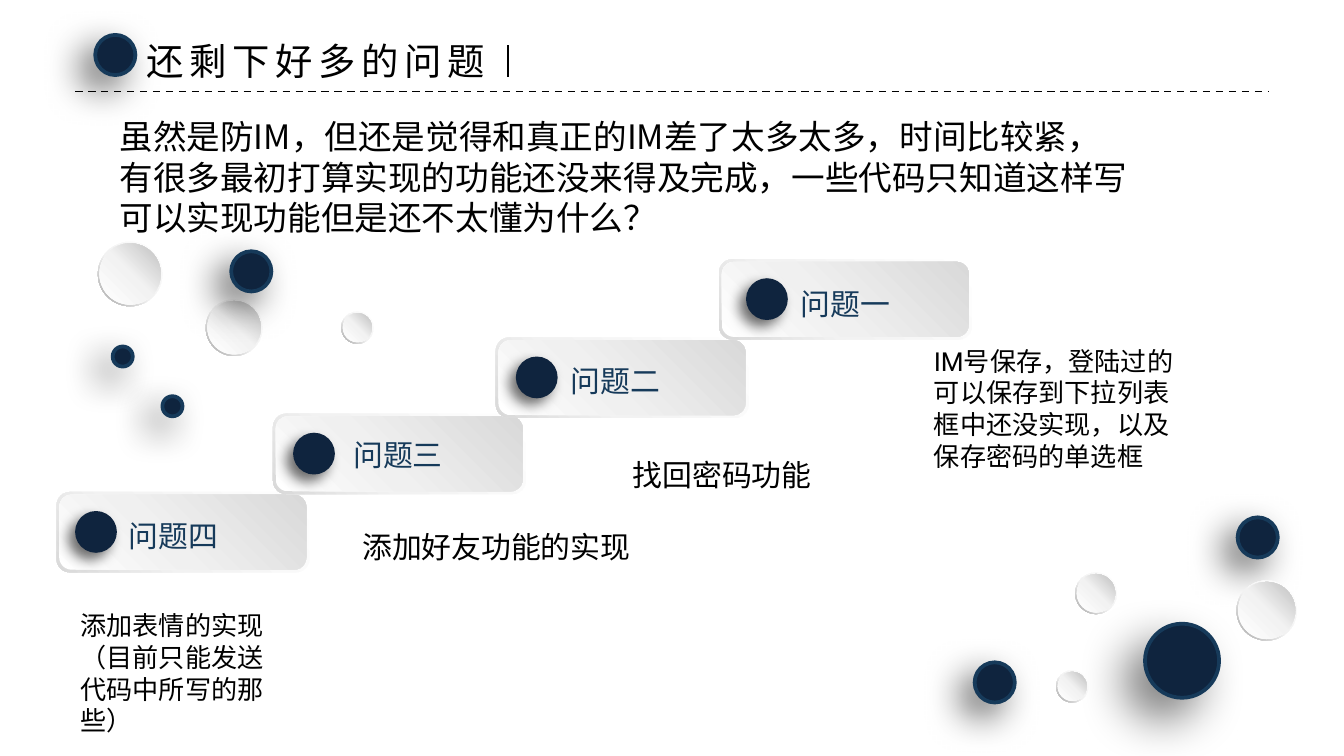
import lxml.etree as etree
import pptx
import pptx.dml.color
import pptx.enum.dml
import pptx.enum.shapes
import pptx.enum.text
import pptx.oxml.ns
import pptx.util
from dataclasses import dataclass

Cm = pptx.util.Cm
Pt = pptx.util.Pt
RGB = pptx.dml.color.RGBColor.from_string
qn = pptx.oxml.ns.qn
SHAPES = pptx.enum.shapes.MSO_SHAPE


@dataclass(frozen=True)
class Theme:
    navy: str = "0F243E"
    blue: str = "163A5A"
    black: str = "000000"
    white: str = "FFFFFF"
    cjk: str = "Noto Sans CJK SC"
    latin: str = "Roboto"
    title: int = 20
    intro: int = 18
    label: int = 16
    note: int = 14
    line_height: float = 1.21
    # Gradients: clockwise angle, then (position in percent, colour)
    rim: tuple = (135, (0, "FFFFFF"), (62, "F2F2F2"), (100, "D9D9D9"))
    panel: tuple = (315, (0, "FFFFFF"), (42, "F0F0F0"), (100, "D9D9D9"))
    ring: tuple = (135, (0, "FFFFFF"), (55, "F2F2F2"), (100, "A6A6A6"))
    ball: tuple = (315, (0, "FFFFFF"), (51, "F2F2F2"), (100, "BFBFBF"))
    # Shadows: opacity in percent, blur and distance in points
    dot_shadow: tuple = (57, 7, 5)
    bead_shadow: tuple = (60, 20, 10)
    big_shadow: tuple = (50, 25, 15)


theme = Theme()


def add_shape(shapes, kind, left, top, width, height, fill, shadow=None, outline=None):
    """Add a preset shape; fill is a colour or a gradient tuple of the theme."""
    shape = shapes.add_shape(kind, Cm(left), Cm(top), Cm(width), Cm(height))
    shape.shadow.inherit = False
    properties = shape._element.spPr
    if isinstance(fill, str):
        shape.fill.solid()
        shape.fill.fore_color.rgb = RGB(fill)
    else:
        angle, *stops = fill
        shape.fill.gradient()
        gradient = properties.find(qn("a:gradFill"))
        gradient.find(qn("a:lin")).set("ang", str(angle * 60000))
        stop_list = gradient.find(qn("a:gsLst"))
        for old_stop in list(stop_list):
            stop_list.remove(old_stop)
        for position, color in stops:
            stop = etree.SubElement(stop_list, qn("a:gs"), pos=str(position * 1000))
            etree.SubElement(stop, qn("a:srgbClr"), val=color)
    if outline:
        shape.line.color.rgb = RGB(outline)
        shape.line.width = Pt(2)
    else:
        shape.line.fill.background()
    if shadow:
        opacity, blur, distance = shadow
        outer = etree.SubElement(
            properties.find(qn("a:effectLst")), qn("a:outerShdw"),
            blurRad=str(Pt(blur)), dist=str(Pt(distance)),
            dir=str(135 * 60000), algn="tr", rotWithShape="0")
        color = etree.SubElement(outer, qn("a:srgbClr"), val=theme.black)
        etree.SubElement(color, qn("a:alpha"), val=str(opacity * 1000))
    return shape


def write_text(shape, lines, size, font, color=theme.black, wrap=False):
    frame = shape.text_frame
    frame.text = "\n".join(lines)
    frame.word_wrap = wrap
    frame.auto_size = pptx.enum.text.MSO_AUTO_SIZE.SHAPE_TO_FIT_TEXT
    frame.vertical_anchor = pptx.enum.text.MSO_ANCHOR.TOP
    for paragraph in frame.paragraphs:
        paragraph.alignment = pptx.enum.text.PP_ALIGN.LEFT
        paragraph.line_spacing = Pt(round(size * theme.line_height, 1))
        paragraph.font.size = Pt(size)
        paragraph.font.name = font
        paragraph.font.color.rgb = RGB(color)
        defaults = paragraph._p.pPr.find(qn("a:defRPr"))
        etree.SubElement(defaults, qn("a:ea"), typeface=theme.cjk)


presentation = pptx.Presentation()
presentation.slide_width = Cm(25.4)
presentation.slide_height = Cm(14.29)
slide = presentation.slides.add_slide(presentation.slide_layouts[5])
slide.background.fill.solid()
slide.background.fill.fore_color.rgb = RGB(theme.white)

# Title
title = slide.shapes.title
title.left, title.top, title.width, title.height = Cm(2.51), Cm(0.58), Cm(7.06), Cm(1.12)
write_text(title, ["还剩下好多的问题"], theme.title, theme.cjk)
title.text_frame.paragraphs[0]._p.pPr.find(qn("a:defRPr")).set("spc", "300")

# Introduction
intro = slide.shapes.add_textbox(Cm(2.01), Cm(2.06), Cm(19.76), Cm(2.57))
write_text(intro, [
    "虽然是防IM，但还是觉得和真正的IM差了太多太多，时间比较紧，",
    "有很多最初打算实现的功能还没来得及完成，一些代码只知道这样写",
    "可以实现功能但是还不太懂为什么？",
], theme.intro, theme.cjk)

# Staircase of problems: label, panel left and top, dot left, label left and top
steps = [
    ("问题四", 1.07, 9.30, 1.42, 2.18, 9.65),
    ("问题三", 5.16, 7.82, 5.54, 6.43, 8.13),
    ("问题二", 9.37, 6.38, 9.75, 10.54, 6.73),
    ("问题一", 13.59, 4.90, 14.10, 14.88, 5.26),
]
for _, left, top, dot_left, _, _ in steps:
    parts = slide.shapes.add_group_shape().shapes
    add_shape(parts, SHAPES.ROUNDED_RECTANGLE, left, top, 4.78, 1.52, theme.rim)
    add_shape(parts, SHAPES.ROUNDED_RECTANGLE, left + 0.05, top + 0.05, 4.67, 1.42, theme.panel)
    add_shape(parts, SHAPES.OVAL, dot_left, top + 0.36, 0.79, 0.79, theme.navy, theme.dot_shadow)
for label, _, _, _, left, top in steps:
    box = slide.shapes.add_textbox(Cm(left), Cm(top), Cm(2.24), Cm(0.94))
    write_text(box, [label], theme.label, theme.cjk, theme.blue)

# Decoration, back to front: kind, left, top, diameter
decoration = [
    ("ball", 1.85, 4.57, 1.22),
    ("big bead", 21.64, 11.79, 1.40),
    ("bead", 23.39, 9.78, 0.76),
    ("ball", 3.89, 5.66, 1.07),
    ("ball", 19.96, 12.67, 0.61),
    ("ball", 20.32, 10.82, 0.79),
    ("bead", 4.37, 4.75, 0.76),
    ("bead", 2.13, 6.55, 0.38),
    ("ball", 23.37, 10.97, 1.14),
    ("bead", 18.42, 12.52, 0.76),
    ("bead", 3.07, 7.49, 0.38),
    ("ball", 6.45, 5.89, 0.61),
    ("bead", 1.80, 0.66, 0.76),
]
for kind, left, top, size in decoration:
    if kind == "ball":
        parts = slide.shapes.add_group_shape().shapes
        ring = add_shape(parts, SHAPES.DONUT, left, top, size, size, theme.ring)
        ring.adjustments[0] = 0.05
        inner = size - 0.06
        add_shape(parts, SHAPES.OVAL, left + 0.03, top + 0.03, inner, inner, theme.ball)
    else:
        shadow = theme.big_shadow if kind == "big bead" else theme.bead_shadow
        add_shape(slide.shapes, SHAPES.OVAL, left, top, size, size, theme.navy, shadow, theme.blue)

# Explanations
notes = [
    ("添加表情的实现（目前只能发送代码中所写的那些）", 1.27, 11.40, 4.34, 2.06, theme.note),
    ("添加好友功能的实现", 6.60, 9.86, 5.92, 0.94, theme.label),
    ("找回密码功能", 11.71, 8.51, 4.34, 0.94, theme.label),
    ("IM号保存，登陆过的可以保存到下拉列表框中还没实现，以及保存密码的单选框",
     17.40, 6.40, 5.31, 2.64, theme.note),
]
for text, left, top, width, height, size in notes:
    box = slide.shapes.add_textbox(Cm(left), Cm(top), Cm(width), Cm(height))
    write_text(box, [text], size, theme.latin, wrap=True)

# Title rule and cursor bar
rules = [
    (1.42, 1.73, 23.98, 1.73, 1, pptx.enum.dml.MSO_LINE.DASH),
    (9.60, 0.86, 9.60, 1.45, 1.5, pptx.enum.dml.MSO_LINE.SOLID),
]
for x1, y1, x2, y2, width, dash in rules:
    rule = slide.shapes.add_connector(
        pptx.enum.shapes.MSO_CONNECTOR.STRAIGHT, Cm(x1), Cm(y1), Cm(x2), Cm(y2))
    rule.line.color.rgb = RGB(theme.black)
    rule.line.width = Pt(width)
    rule.line.dash_style = dash
    etree.SubElement(rule._element.spPr, qn("a:effectLst"))

presentation.save("out.pptx")
